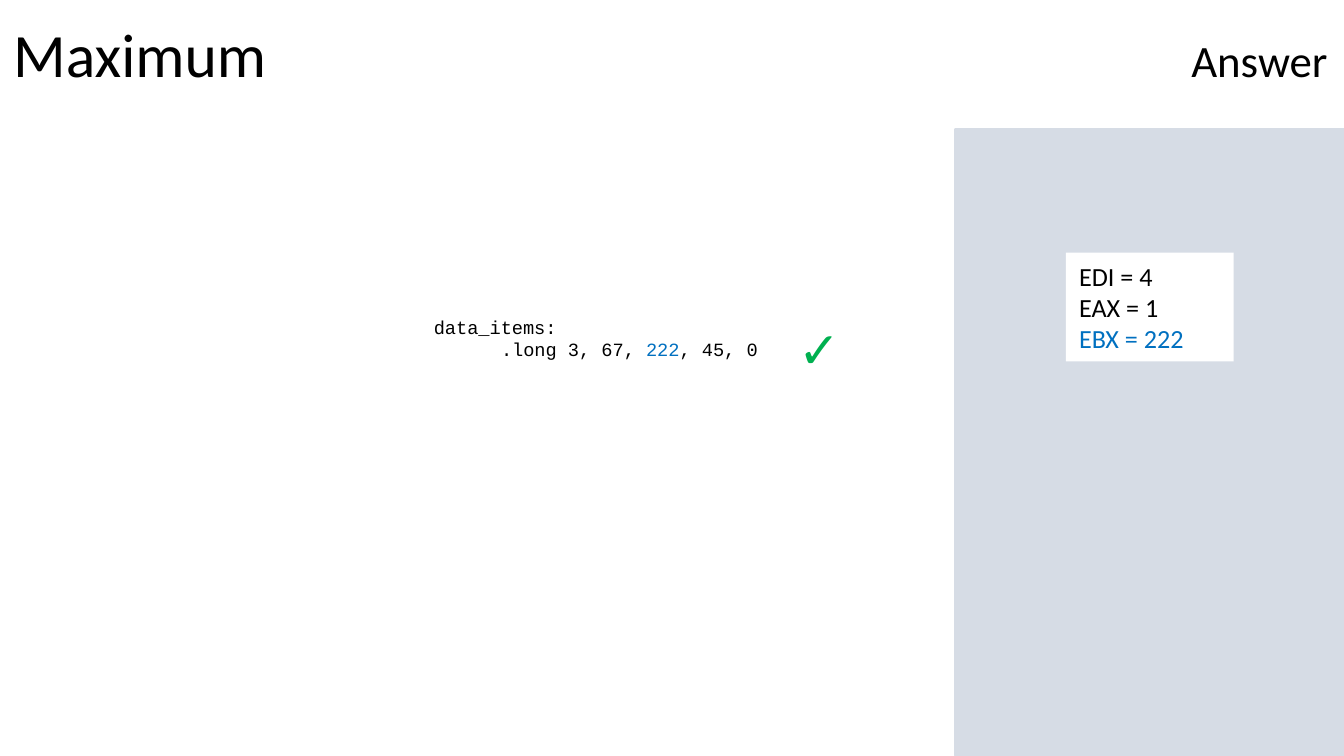
"""Build the answer slide of the maximum exercise."""
from lxml import etree
from pptx import Presentation
from pptx.dml.color import RGBColor
from pptx.enum.shapes import MSO_SHAPE
from pptx.enum.text import MSO_ANCHOR, PP_ALIGN
from pptx.oxml.ns import qn
from pptx.util import Inches, Pt

RECTANGLE = MSO_SHAPE.RECTANGLE
TOP, MIDDLE = MSO_ANCHOR.TOP, MSO_ANCHOR.MIDDLE
LEFT, CENTER = PP_ALIGN.LEFT, PP_ALIGN.CENTER

BLACK, BLUE, GREEN = "000000", "0070C0", "00B050"
WHITE, PANEL = "FFFFFF", "D6DCE5"

TITLE = [[("Maximum\t", BLACK, 33), ("Answer", BLACK, 24)]]
DATA = [
    [("data_items:", BLACK, 10)],
    [("\t.long 3, 67, ", BLACK, 10), ("222", BLUE, 10), (", 45, 0", BLACK, 10)],
]
CHECK = [[("✓", GREEN, 27)]]
REGISTERS = [
    [("EDI = 4", BLACK, 14)],
    [("EAX = 1", BLACK, 14)],
    [("EBX = 222", BLUE, 14)],
]


def color(value):
    return RGBColor.from_string(value)


def add_tab(para, position, align):
    tabs = etree.SubElement(para._p.get_or_add_pPr(), qn("a:tabLst"))
    etree.SubElement(tabs, qn("a:tab"), pos=str(Inches(position)), algn=align)


def write(box, lines, font="Calibri", anchor=TOP, align=LEFT, inset=0.05, spacing=None, tab=None):
    frame = box.text_frame
    frame.word_wrap = True
    frame.vertical_anchor = anchor
    frame.margin_top = Inches(inset)
    for index, line in enumerate(lines):
        para = frame.add_paragraph() if index else frame.paragraphs[0]
        para.alignment = align
        if spacing:
            para.line_spacing = spacing
        if tab:
            add_tab(para, *tab)
        for text, fill, size in line:
            span = para.add_run()
            span.text = text
            span.font.name = font
            span.font.size = Pt(size)
            span.font.color.rgb = color(fill)


def add_text(page, place, lines, **style):
    write(page.shapes.add_textbox(*map(Inches, place)), lines, **style)


def add_rectangle(page, place, fill, line=None):
    box = page.shapes.add_shape(RECTANGLE, *map(Inches, place))
    box.shadow.inherit = False
    box.fill.solid()
    box.fill.fore_color.rgb = color(fill)
    if line:
        box.line.color.rgb = color(line)
        box.line.width = Pt(1.5)
    else:
        box.line.fill.background()
    return box


def main():
    deck = Presentation()
    deck.slide_width = Inches(10)
    deck.slide_height = deck.slide_width * 9 // 16
    page = deck.slides.add_slide(deck.slide_layouts[6])
    add_text(page, (0, -0.12, 10, 1.09), TITLE, anchor=MIDDLE, spacing=0.9, tab=(9.78, "r"))
    add_text(page, (3.13, 1.97, 3.74, 0.94), DATA, font="Courier New", inset=0.38, tab=(0.5, "l"))
    add_text(page, (5.84, 2.34, 0.5, 0.5), CHECK, anchor=MIDDLE, align=CENTER)
    add_rectangle(page, (7.11, 0.96, 2.89, 4.66), PANEL, line=PANEL)
    registers = add_rectangle(page, (7.93, 1.88, 1.25, 0.81), WHITE)
    write(registers, REGISTERS, anchor=MIDDLE)
    deck.save("out.pptx")


if __name__ == "__main__":
    main()
